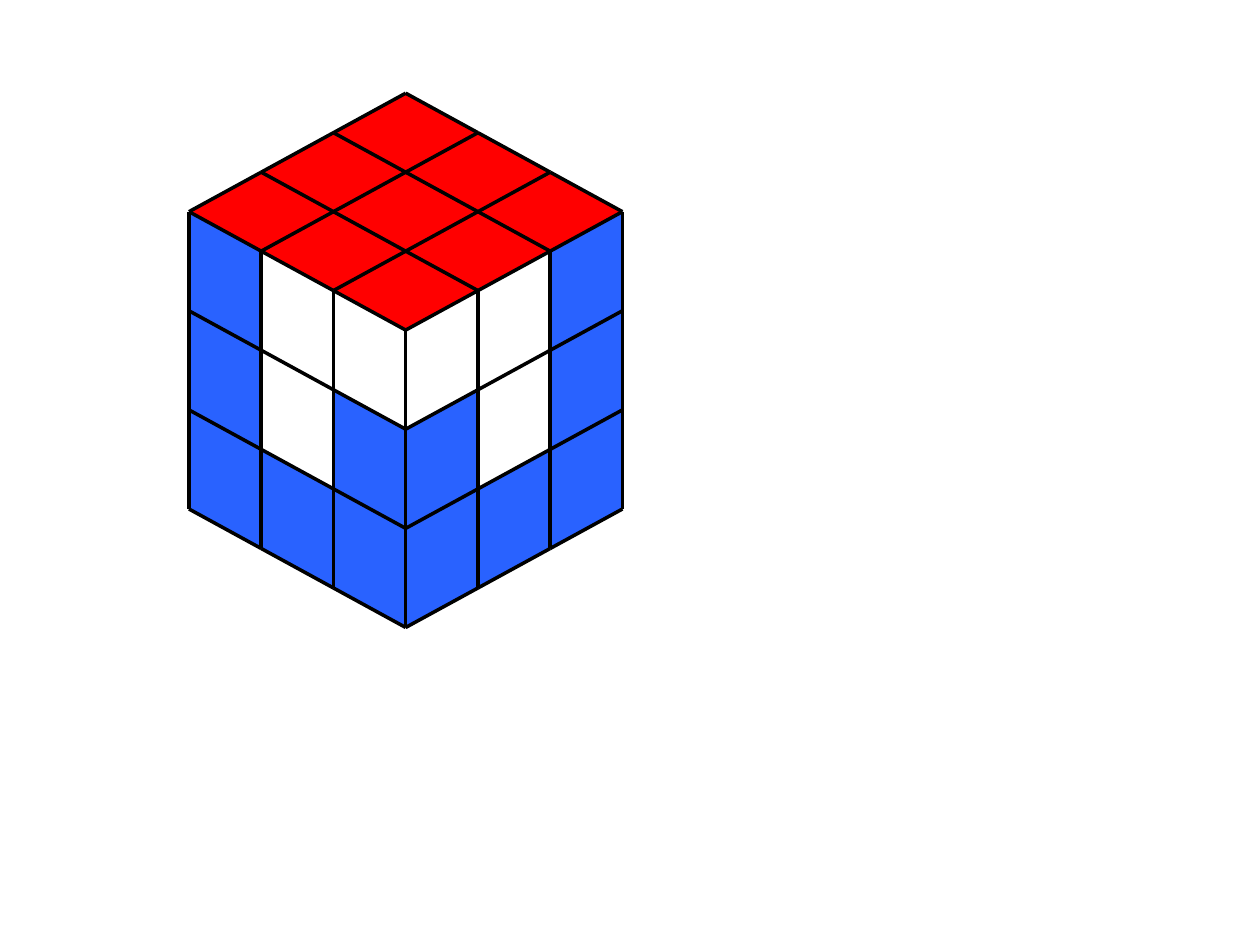
"""Build a slide with a three-by-three puzzle cube in isometric view."""
from dataclasses import dataclass
from itertools import product

from lxml.etree import SubElement
from pptx import Presentation
from pptx.dml.color import RGBColor
from pptx.enum.shapes import MSO_CONNECTOR
from pptx.oxml.ns import qn
from pptx.util import Inches, Pt

COLORS = {"R": "FF0000", "W": "FFFFFF", "B": "2962FF", "edge": "000000"}
CELLS = 3
CORNER = (3.22, 2.62)
WIDTH, RISE, HEIGHT = 1.72, 0.94, 2.36
LEFT, RIGHT, DOWN = (1, 0, 0), (0, 1, 0), (0, 0, 1)
DIRECTIONS = {LEFT: (-WIDTH, -RISE), RIGHT: (WIDTH, -RISE), DOWN: (0, HEIGHT)}

Node = tuple[int, int, int]


@dataclass(frozen=True)
class Face:
    across: Node
    along: Node
    rows: tuple[str, ...]

    def node(self, column: int, row: int) -> Node:
        return tuple(column * a + row * b for a, b in zip(self.across, self.along))


SIDE_ROWS = ("WWB", "BWB", "BBB")
FACES = (
    Face(LEFT, RIGHT, ("RRR",) * CELLS),
    Face(LEFT, DOWN, SIDE_ROWS),
    Face(RIGHT, DOWN, SIDE_ROWS),
)


def position(node: Node) -> tuple[int, int]:
    steps = list(zip(node, DIRECTIONS.values()))
    return tuple(
        Inches(CORNER[axis] + sum(count * span[axis] for count, span in steps) / CELLS)
        for axis in (0, 1)
    )


def draw_tile(page, face: Face, column: int, row: int) -> None:
    offsets = ((0, 0), (1, 0), (1, 1), (0, 1))
    points = [position(face.node(column + x, row + y)) for x, y in offsets]
    builder = page.shapes.build_freeform(*points[0])
    builder.add_line_segments(points[1:], close=True)
    tile = builder.convert_to_shape()
    tile.shadow.inherit = False
    tile.fill.solid()
    tile.fill.fore_color.rgb = RGBColor.from_string(COLORS[face.rows[row][column]])
    tile.line.fill.background()


def draw_edge(page, start: Node, end: Node) -> None:
    edge = page.shapes.add_connector(
        MSO_CONNECTOR.STRAIGHT, *position(start), *position(end)
    )
    edge.line.color.rgb = RGBColor.from_string(COLORS["edge"])
    edge.line.width = Pt(2)
    SubElement(edge._element.spPr, qn("a:effectLst"))


def face_edges(face: Face) -> set[tuple[Node, Node]]:
    edges = set()
    for line, step in product(range(CELLS + 1), range(CELLS)):
        edges.add((face.node(step, line), face.node(step + 1, line)))
        edges.add((face.node(line, step), face.node(line, step + 1)))
    return edges


def main() -> None:
    deck = Presentation()
    deck.slide_width, deck.slide_height = Inches(10), Inches(7.5)
    page = deck.slides.add_slide(deck.slide_layouts[6])
    for face, row, column in product(FACES, range(CELLS), range(CELLS)):
        draw_tile(page, face, column, row)
    for start, end in sorted(set().union(*map(face_edges, FACES))):
        draw_edge(page, start, end)
    deck.save("out.pptx")


main()
